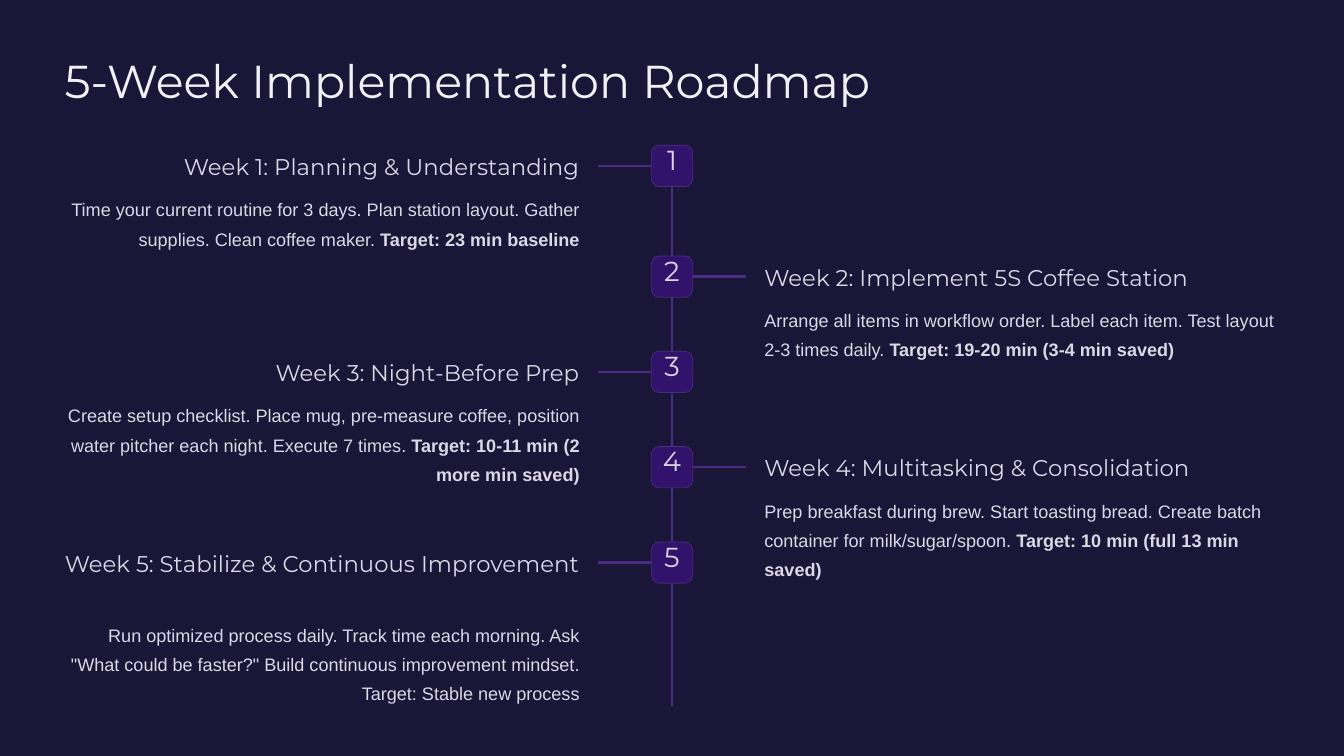
import pptx
import pptx.util
import pptx.dml.color
import pptx.enum.shapes
import pptx.enum.text
import pptx.oxml.ns
import lxml.etree

Pt = pptx.util.Pt
ALIGN = pptx.enum.text.PP_ALIGN

# Content: heading, heading width, body, bold target
TITLE = "5-Week Implementation Roadmap"
WEEKS = [
    ("Week 1: Planning & Understanding", 342,
     "Time your current routine for 3 days. Plan station layout. Gather supplies. "
     "Clean coffee maker. ", "Target: 23 min baseline"),
    ("Week 2: Implement 5S Coffee Station", 366.5,
     "Arrange all items in workflow order. Label each item. Test layout 2-3 times daily. ",
     "Target: 19-20 min (3-4 min saved)"),
    ("Week 3: Night-Before Prep", 263,
     "Create setup checklist. Place mug, pre-measure coffee, position water pitcher "
     "each night. Execute 7 times. ", "Target: 10-11 min (2 more min saved)"),
    ("Week 4: Multitasking & Consolidation", 367,
     "Prep breakfast during brew. Start toasting bread. Create batch container for "
     "milk/sugar/spoon. ", "Target: 10 min (full 13 min saved)"),
    ("Week 5: Stabilize & Continuous Improvement", 441.4,
     "Run optimized process daily. Track time each morning. Ask \"What could be faster?\" "
     "Build continuous improvement mindset. Target: Stable new process", ""),
]
BODY_LINES = [2, 2, 3, 3, 3]
COLORS = {"background": "191637", "title": "F2F0F4", "text": "DCD7E5",
          "line": "4A2C85", "badge": "31136C"}

# Layout in points
WIDTH, HEIGHT = 1152, 648
CENTER = WIDTH / 2
MARGIN, COLUMN = 55.4, 441.4
BADGE, BRANCH = 35.4, 45.7
SPINE_TOP, SPINE_BOTTOM = 124.5, 604.8
SECOND_TOP, STEP = 219.4, 81.7
BODY_LEADING = 25


def color(name):
    return pptx.dml.color.RGBColor.from_string(COLORS[name])


def write(frame, *texts, size, leading, font="Montserrat", ink="text",
          align=ALIGN.LEFT, wrap=False, top=0):
    """Fill a frame with one paragraph; every text after the first is bold."""
    frame.margin_left = frame.margin_right = frame.margin_bottom = 0
    frame.margin_top = Pt(top)
    frame.word_wrap = wrap
    frame.vertical_anchor = pptx.enum.text.MSO_ANCHOR.TOP
    paragraph = frame.paragraphs[0]
    paragraph.alignment = align
    paragraph.line_spacing = Pt(leading)
    for index, text in enumerate(filter(None, texts)):
        run = paragraph.add_run()
        run.text = text
        run.font.name = font
        run.font.size = Pt(size)
        run.font.bold = index > 0
        run.font.color.rgb = color(ink)


def add_box(left, top, width, height):
    return slide.shapes.add_textbox(Pt(left), Pt(top), Pt(width), Pt(height)).text_frame


def add_line(x1, y1, x2, y2):
    line = slide.shapes.add_connector(
        pptx.enum.shapes.MSO_CONNECTOR.STRAIGHT, Pt(x1), Pt(y1), Pt(x2), Pt(y2))
    line.line.color.rgb = color("line")
    line.line.width = Pt(2)
    lxml.etree.SubElement(line._element.spPr, pptx.oxml.ns.qn("a:effectLst"))
    return line


presentation = pptx.Presentation()
presentation.slide_width, presentation.slide_height = Pt(WIDTH), Pt(HEIGHT)
slide = presentation.slides.add_slide(presentation.slide_layouts[6])
slide.background.fill.solid()
slide.background.fill.fore_color.rgb = color("background")

# Title and spine
write(add_box(MARGIN, 43.2, 720, 49.7), TITLE, size=39.5, leading=49, ink="title")
add_line(CENTER, SPINE_TOP, CENTER, SPINE_BOTTOM)

# Weeks alternate left and right of the spine
for index, (heading, heading_width, body, target) in enumerate(WEEKS):
    top = SECOND_TOP + STEP * (index - 1) if index else SPINE_TOP
    on_left = index % 2 == 0
    side = -1 if on_left else 1
    align = ALIGN.RIGHT if on_left else ALIGN.LEFT
    column_left = MARGIN if on_left else WIDTH - MARGIN - COLUMN
    heading_left = column_left + (COLUMN - heading_width if on_left else 0)
    last = index == len(WEEKS) - 1

    # Numbered badge
    badge = slide.shapes.add_shape(
        pptx.enum.shapes.MSO_SHAPE.ROUNDED_RECTANGLE,
        Pt(CENTER - BADGE / 2), Pt(top), Pt(BADGE), Pt(BADGE))
    badge.adjustments[0] = 0.19
    badge.shadow.inherit = False
    badge.fill.solid()
    badge.fill.fore_color.rgb = color("badge")
    badge.line.color.rgb = color("line")
    badge.line.width = Pt(0.6)
    write(badge.text_frame, str(index + 1), size=23.5, leading=23.5,
          align=ALIGN.CENTER, top=1)

    # Branch from the badge towards its text
    edge, middle = CENTER + side * BADGE / 2, top + BADGE / 2
    branch = add_line(edge, middle, edge + side * BRANCH, middle)
    branch.begin_connect(badge, 1 if on_left else 3)

    # Heading and body
    write(add_box(heading_left, top + 5.5, heading_width, 49 if last else 24.5),
          heading, size=19.5, leading=24.5, align=align)
    write(add_box(column_left, top + (64 if last else 39.5), COLUMN,
                  BODY_LEADING * BODY_LINES[index]),
          body, target, size=15.5, leading=BODY_LEADING, font="Arial",
          align=align, wrap=True)

presentation.save("out.pptx")
